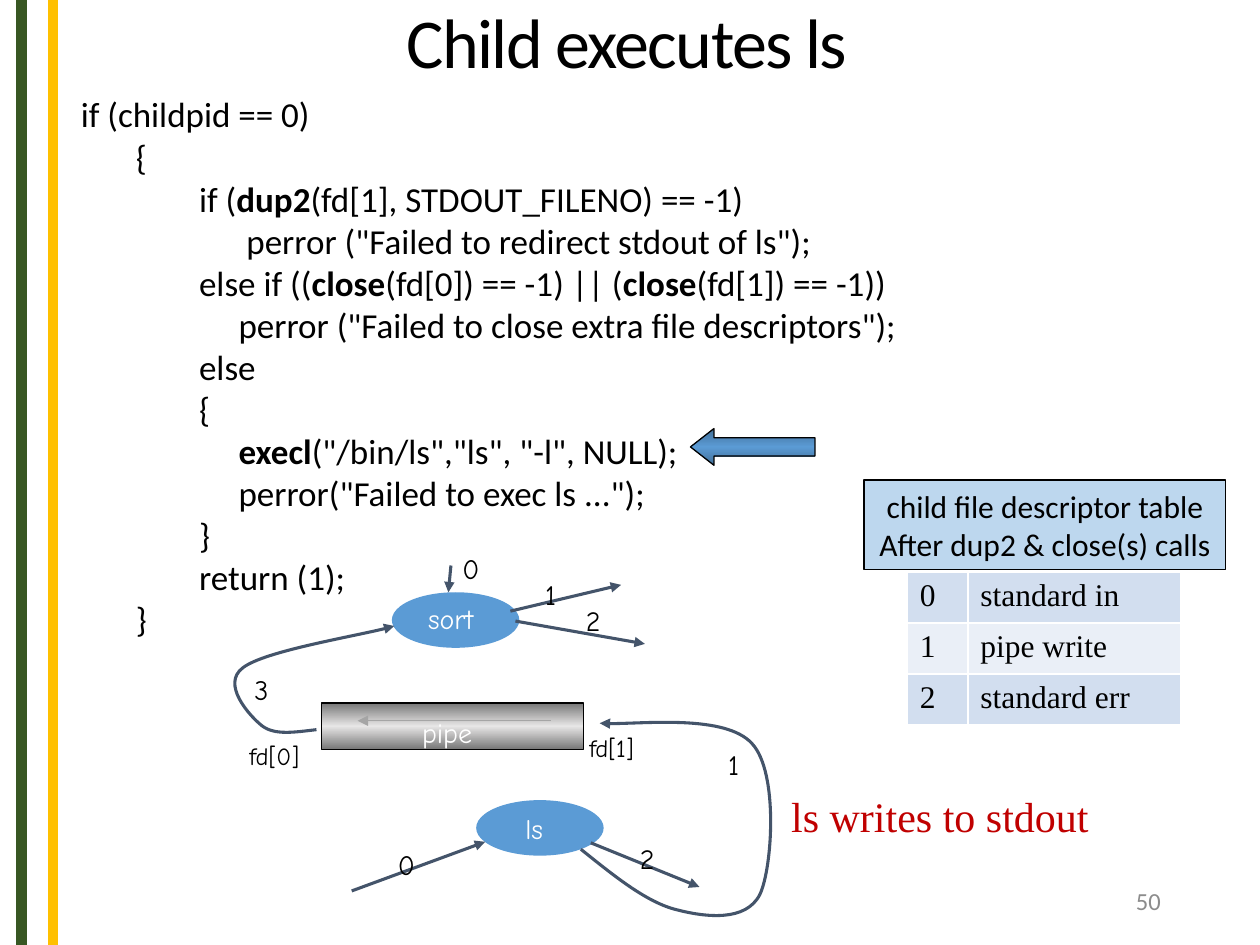
from copy import deepcopy
from dataclasses import dataclass
from itertools import chain

from lxml import etree
from pptx import Presentation
from pptx.dml.color import RGBColor
from pptx.enum import shapes, text
from pptx.oxml import ns
from pptx.util import Cm, Pt


@dataclass(frozen=True)
class Theme:
    sans: str = "Calibri"
    hand: str = "Comic Neue"
    serif: str = "Times New Roman"
    black: str = "000000"
    white: str = "FFFFFF"
    green: str = "385723"
    gold: str = "FFC000"
    blue: str = "5B9BD5"
    navy: str = "416F98"
    pale: str = "BDD7EE"
    slate: str = "44546A"
    steel: str = "767676"
    silver: str = "E7E6E6"
    gray: str = "A5A5A5"
    dim: str = "8C8C8C"
    red: str = "C00000"
    bands: tuple = ("D2DEEF", "EAEFF7")
    title: int = 40
    note: int = 24
    code: int = 20
    body: int = 18
    label: int = 16
    small: int = 14


T = Theme()
MSO = shapes.MSO_SHAPE
LEFT, MID, RIGHT = text.PP_ALIGN.LEFT, text.PP_ALIGN.CENTER, text.PP_ALIGN.RIGHT
SPACE = 0.159  # width in cm of one code column

CODE = [  # (column, runs); every second run is bold
    (1, ["if (childpid == 0)"]),
    (8, ["{"]),
    (16, ["if (", "dup2", "(fd[1], STDOUT_FILENO) == -1)"]),
    (22, ['perror ("Failed to redirect stdout of ls");']),
    (16, ["else if ((", "close", "(fd[0]) == -1) || (", "close", "(fd[1]) == -1))"]),
    (21, ['perror ("Failed to close extra file descriptors");']),
    (16, ["else"]),
    (16, ["{"]),
    (21, ["", "execl", '("/bin/ls","ls", "-l", NULL);']),
    (21, ['perror("Failed to exec ls ...");']),
    (16, ["}"]),
    (16, ["return (1);"]),
    (8, ["}"]),
]

FEED = [(1.93, 3.71), (1.49, 3.76), (1.09, 3.83), (0.83, 3.63), (0.58, 3.43),
        (0, 2.79), (0.45, 2.46), (0.88, 2.13), (2.99, 1.78), (3.5, 1.62)]
DRAIN = [(7.26, 6.12), (7.92, 6.65), (8.58, 7.19), (9.19, 7.34), (9.77, 7.49),
         (10.59, 7.59), (10.87, 7.03), (11.12, 6.5), (11.25, 4.57),
         (10.71, 3.99), (10.18, 3.4), (8.15, 3.63), (7.64, 3.58)]


def rgb(tint):
    return RGBColor.from_string(tint)


def add_run(para, words, size, face, tint=T.black, bold=False):
    run = para.add_run()
    run.text = words
    font = run.font
    font.size, font.name, font.bold = Pt(size), face, bold
    font.color.rgb = rgb(tint)
    return run


def add_box(slide, box, wrap=True, anchor=text.MSO_ANCHOR.TOP):
    frame = slide.shapes.add_textbox(*map(Cm, box)).text_frame
    frame.word_wrap, frame.vertical_anchor = wrap, anchor
    return frame


def add_line(slide, box, tint, width, arrow=True):
    """Draw a straight line; box is x1, y1, x2, y2."""
    line = slide.shapes.add_connector(shapes.MSO_CONNECTOR.STRAIGHT, *map(Cm, box))
    style(line, tint, width, arrow)
    etree.SubElement(line._element.spPr, ns.qn("a:effectLst"))


def style(item, tint, width, arrow):
    item.line.color.rgb, item.line.width = rgb(tint), Pt(width)
    if arrow:
        etree.SubElement(item.line._get_or_add_ln(), ns.qn("a:tailEnd"), type="triangle")


def add_curve(slide, x, y, points):
    """Draw an arrow along cubic curves: a start, then three points for each."""
    start, *rest = [(Cm(x + px), Cm(y + py)) for px, py in points]
    form = slide.shapes.build_freeform(*start)
    form.add_line_segments(rest, close=False)
    curve = form.convert_to_shape()
    curve.shadow.inherit = False
    curve.fill.background()
    style(curve, T.slate, 1.75, True)
    track = curve._element.find(".//" + ns.qn("a:path"))
    steps = track.findall(ns.qn("a:lnTo"))
    for i in range(0, len(steps), 3):
        bend = etree.SubElement(track, ns.qn("a:cubicBezTo"))
        for step in steps[i:i + 3]:
            bend.append(step[0])
            track.remove(step)


def add_form(slide, kind, box, fill, edge=True):
    """Add a preset shape; a pair of fills makes a band, edge to centre."""
    form = slide.shapes.add_shape(kind, *map(Cm, box))
    form.shadow.inherit = False
    if isinstance(fill, tuple):
        form.fill.gradient()
        form.fill.gradient_angle = 90
        stops = form._element.spPr.find(".//" + ns.qn("a:gsLst"))
        stops.insert(1, deepcopy(stops[0]))
        for i, stop in enumerate(form.fill.gradient_stops):
            stop.position = i / 2
            stop.color.rgb = rgb(fill[i % 2])
    else:
        form.fill.solid()
        form.fill.fore_color.rgb = rgb(fill)
    if edge:
        style(form, T.black, 0.75, False)
    else:
        form.line.fill.background()
    return form


def add_bars(slide, high):
    for x, tint in ((0.43, T.green), (1.07, T.gold)):
        add_line(slide, (x, 0, x, high), tint, 6, False)


def add_title(slide, box):
    para = add_box(slide, box, anchor=text.MSO_ANCHOR.MIDDLE).paragraphs[0]
    para.line_spacing = 0.85
    run = add_run(para, "Child executes ls", T.title, T.sans)
    run.font._element.set("spc", "-90")


def add_code(slide, box):
    frame = add_box(slide, box)
    for i, (column, runs) in enumerate(CODE):
        para = frame.add_paragraph() if i else frame.paragraphs[0]
        para._p.get_or_add_pPr().set("marL", str(Cm(column * SPACE)))
        for j, words in enumerate(runs):
            if words:
                add_run(para, words, T.code, T.sans, bold=j % 2 == 1)


def add_files(slide, box):
    """Place the caption and, under it, the descriptor table."""
    x, y, wide, high = box
    frame = add_form(slide, MSO.RECTANGLE, (x, y, wide, 1.8), T.pale).text_frame
    frame.word_wrap = False
    for i, words in enumerate(("child file descriptor table", "After dup2 & close(s) calls")):
        para = frame.add_paragraph() if i else frame.paragraphs[0]
        para.alignment = MID
        add_run(para, words, T.body, T.sans)
    rows = ("standard in", "pipe write", "standard err")
    cols = (1.22, 4.3)
    grid = slide.shapes.add_table(len(rows), 2, Cm(x + 0.87), Cm(y + 1.85),
                                  Cm(sum(cols)), Cm(high - 1.85)).table
    grid.first_row = grid.horz_banding = False
    for col, size in zip(grid.columns, cols):
        col.width = Cm(size)
    for i, name in enumerate(rows):
        for cell, words in zip(grid.rows[i].cells, (str(i), name)):
            cell.fill.solid()
            cell.fill.fore_color.rgb = rgb(T.bands[i % 2])
            add_run(cell.text_frame.paragraphs[0], words, T.body, T.serif)


def add_flow(slide, x, y):
    """Draw the two processes, the pipe and their numbered streams."""
    add_form(slide, MSO.RECTANGLE, (x + 2.03, y + 3.17, 5.28, 0.94), (T.steel, T.silver))
    for px, py in ((3.45, 0.94), (5.15, 5.13)):
        add_form(slide, MSO.OVAL, (x + px, y + py, 2.57, 1.12), T.blue, False)
    for ends in ((4.64, 0.4, 4.59, 0.94), (5.84, 1.32, 8.07, 0.79),
                 (5.94, 1.52, 8.55, 1.98), (2.64, 6.96, 5.33, 5.97),
                 (7.46, 5.99, 9.65, 6.88)):
        add_line(slide, [a + b for a, b in zip(ends, (x, y, x, y))], T.slate, 1.75)
    add_line(slide, (x + 6.65, y + 3.53, x + 2.76, y + 3.53), T.gray, 0.75)
    for points in (FEED, DRAIN):
        add_curve(slide, x, y, points)
    names = [("sort", 3.93, 1.01, 1.63), ("pipe", 3.81, 3.3, 1.52), ("ls", 5.89, 5.23, 1.1)]
    marks = [("0", 4.62, 0), ("1", 6.29, 0.51), ("2", 7.11, 1.04), ("3", 0.43, 2.44),
             ("1", 9.98, 3.94), ("0", 3.32, 5.97), ("2", 8.2, 5.84)]
    ends = [("fd[0]", 0.33, 3.81), ("fd[1]", 7.18, 3.66)]
    for words, px, py, wide, size, tint in chain(
            ((*n, T.label, T.white) for n in names),
            ((*m, 0.84, T.label, T.black) for m in marks),
            ((*e, 1.7, T.small, T.black) for e in ends)):
        frame = add_box(slide, (x + px, y + py, wide, 0.84), wrap=False)
        add_run(frame.paragraphs[0], words, size, T.hand, tint)


def main():
    deck = Presentation()
    deck.slide_width, deck.slide_height = Cm(25.4), Cm(19.05)
    slide = deck.slides.add_slide(deck.slide_layouts[6])
    add_bars(slide, 19.05)
    add_code(slide, (1.22, 1.75, 17.58, 12.4))
    add_files(slide, (17.42, 9.68, 7.29, 4.94))
    arrow = add_form(slide, MSO.LEFT_ARROW, (13.92, 8.64, 2.51, 0.74), (T.navy, T.blue))
    arrow.adjustments[1] = 0.64
    add_flow(slide, 4.45, 11)
    note = add_box(slide, (15.7, 15.82, 6.73, 1.27))
    add_run(note.paragraphs[0], "ls writes to stdout", T.note, T.serif, T.red)
    add_title(slide, (7.95, 0, 15.62, 1.9))
    page = add_box(slide, (17.93, 17.65, 5.72, 1.02), anchor=text.MSO_ANCHOR.MIDDLE)
    page.paragraphs[0].alignment = RIGHT
    add_run(page.paragraphs[0], "50", T.small, T.sans, T.dim)
    deck.save("out.pptx")


if __name__ == "__main__":
    main()
